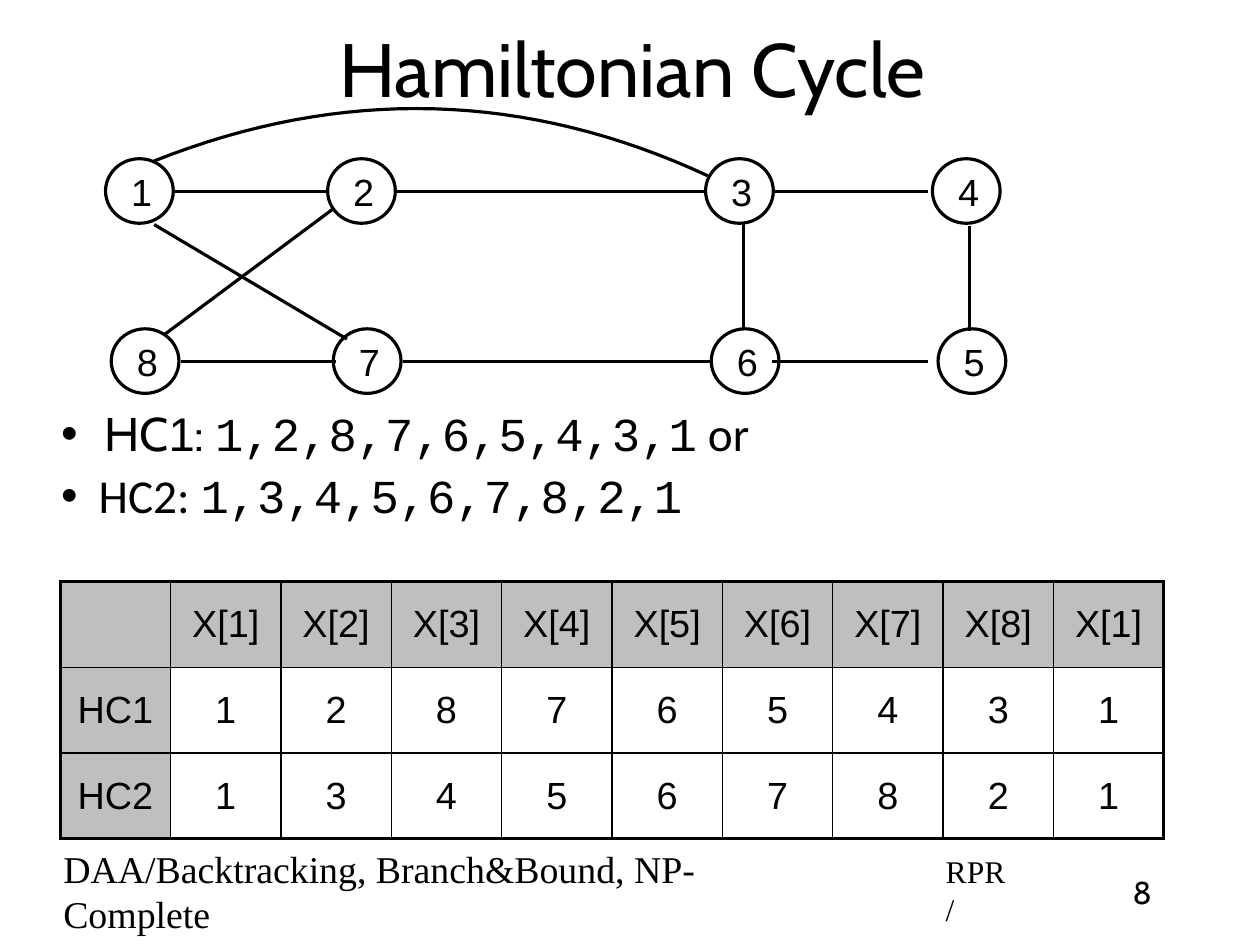
from dataclasses import dataclass

from lxml.etree import SubElement
from pptx import Presentation
from pptx.dml.color import RGBColor
from pptx.enum.shapes import MSO_CONNECTOR as Connector, MSO_SHAPE as Preset
from pptx.enum.text import MSO_ANCHOR as Anchor, MSO_AUTO_SIZE as AutoSize, PP_ALIGN as Align
from pptx.oxml.ns import qn
from pptx.util import Pt


@dataclass(frozen=True)
class Theme:
    """Holds the colours, fonts and sizes of the slide."""
    ink: RGBColor = RGBColor(0, 0, 0)
    shade_alpha: int = 25000
    heading: str = "Cabin"
    sans: str = "Arial"
    plain: str = "Calibri"
    mono: str = "Courier New"
    serif: str = "Times New Roman"
    title_size: int = 48
    list_size: int = 30
    label_size: int = 24
    small_size: int = 20
    inset: float = 4.3
    indent: float = 2.9
    edge: float = 2
    grid: float = 1
    frame: float = 2.25


THEME = Theme()

CYCLES = {"HC1": "1,2,8,7,6,5,4,3,1", "HC2": "1,3,4,5,6,7,8,2,1"}
NODE_COLUMNS = [0, 141, 381, 525]
NODE_ROWS = [("1234", 0, 31.8), ("8765", 3.6, 139.8)]
EDGES = [
    (43.2, 52.7, 141.1, 52.7), (184.3, 52.7, 380.1, 52.7), (423.3, 52.7, 522, 52.7),
    (48.2, 160.7, 146.1, 160.7), (188.6, 160.7, 385.2, 160.7), (423.3, 160.7, 522, 160.7),
    (30.9, 73.6, 153.3, 146.3), (37.4, 143.4, 144.7, 63.5),
    (405.3, 72.8, 405.3, 139.8), (548.6, 74.3, 548.6, 141.2),
]
ARC = [(30.9, 33.2), (150.4, -14.3), (267.8, -10.7), (382.3, 42.6)]
ARC_STEPS = 32


def apply(target, values):
    """Set every attribute named in values on the target."""
    for name, value in values.items():
        setattr(target, name, value)


def place(shape, box):
    """Move and size a shape to a box in points."""
    apply(shape, dict(zip(("left", "top", "width", "height"), map(Pt, box))))


def prepare(frame, anchor):
    """Give a text frame its wrapping, anchor and insets."""
    margins = ("margin_left", "margin_right", "margin_top", "margin_bottom")
    apply(frame, dict.fromkeys(margins, Pt(THEME.inset)))
    apply(frame, {"word_wrap": True, "auto_size": AutoSize.NONE, "vertical_anchor": anchor})


def write(paragraph, runs, size, align=Align.LEFT, indent=THEME.indent, hanging=0):
    """Fill a paragraph with pairs of text and font name."""
    paragraph.alignment = align
    properties = paragraph._p.get_or_add_pPr()
    properties.set("marL", str(Pt(indent)))
    properties.set("indent", str(-Pt(hanging)))
    for text, name in runs:
        run = paragraph.add_run()
        run.text = text
        apply(run.font, {"name": name, "size": Pt(size)})
        run.font.color.rgb = THEME.ink


def outline(shape):
    """Draw the black graph line around or along a shape."""
    shape.line.color.rgb = THEME.ink
    shape.line.width = Pt(THEME.edge)


def add_title(slide, box):
    """Place the heading in the title placeholder."""
    title = slide.shapes.title
    place(title, box)
    prepare(title.text_frame, Anchor.MIDDLE)
    write(title.text_frame.paragraphs[0], [("Hamiltonian Cycle", THEME.heading)],
          THEME.title_size, Align.CENTER)


def add_note(slide, box, text, font, size, align=Align.LEFT, anchor=Anchor.MIDDLE):
    """Add one small text of the footer."""
    note = slide.shapes.add_textbox(*map(Pt, box))
    prepare(note.text_frame, anchor)
    write(note.text_frame.paragraphs[0], [(text, font)], size, align)


def add_graph(slide, box):
    """Draw the eight numbered nodes and their edges."""
    left, top = box[:2]
    shapes = slide.shapes.add_group_shape().shapes
    for labels, shift, row in NODE_ROWS:
        for label, column in zip(labels, NODE_COLUMNS):
            node = shapes.add_shape(Preset.OVAL, Pt(left + column + shift), Pt(top + row),
                                    Pt(43), Pt(41))
            node.shadow.inherit = False
            node.fill.background()
            outline(node)
            prepare(node.text_frame, Anchor.MIDDLE)
            write(node.text_frame.paragraphs[0], [(label, THEME.sans)],
                  THEME.label_size, Align.CENTER)
    for x1, y1, x2, y2 in EDGES:
        edge = shapes.add_connector(Connector.STRAIGHT, Pt(left + x1), Pt(top + y1),
                                    Pt(left + x2), Pt(top + y2))
        outline(edge)
        SubElement(edge._element.spPr, qn("a:effectLst"))
    points = [(Pt(left + x), Pt(top + y)) for x, y in map(arc_point, range(ARC_STEPS + 1))]
    builder = shapes.build_freeform(*points[0])
    builder.add_line_segments(points[1:], close=False)
    arc = builder.convert_to_shape()
    arc.shadow.inherit = False
    arc.fill.background()
    outline(arc)


def arc_point(step):
    """Return the point of the cubic arc at a step."""
    t = step / ARC_STEPS
    weights = ((1 - t) ** 3, 3 * t * (1 - t) ** 2, 3 * t ** 2 * (1 - t), t ** 3)
    return tuple(sum(w * value for w, value in zip(weights, axis)) for axis in zip(*ARC))


def add_cycle_list(slide, box):
    """List both cycles in the body placeholder."""
    body = slide.placeholders[1]
    place(body, box)
    frame = body.text_frame
    prepare(frame, Anchor.TOP)
    first = [("HC", THEME.heading), ("1", THEME.sans), (": ", THEME.heading),
             (CYCLES["HC1"], THEME.mono), (" or", THEME.plain)]
    second = [("HC2: ", THEME.plain), (CYCLES["HC2"], THEME.mono)]
    items = [(frame.paragraphs[0], first, 30.2, 27.4),
             (frame.add_paragraph(), second, 26.6, 23.8)]
    for paragraph, runs, indent, hanging in items:
        write(paragraph, runs, THEME.list_size, indent=indent, hanging=hanging)
        apply(paragraph, {"line_spacing": 0.9, "space_before": Pt(7)})


def add_borders(cell, outer):
    """Draw the four borders of a cell, thick on the outer sides."""
    properties = cell._tc.get_or_add_tcPr()
    for side in "LRTB":
        width = THEME.frame if side in outer else THEME.grid
        line = SubElement(properties, qn(f"a:ln{side}"), w=str(Pt(width)))
        SubElement(SubElement(line, qn("a:solidFill")), qn("a:srgbClr"), val=str(THEME.ink))


def add_cycle_table(slide, box):
    """Tabulate the node at each position of both cycles."""
    positions = [f"X[{number}]" for number in (*range(1, 9), 1)]
    rows = [["", *positions], *([name, *cycle.split(",")] for name, cycle in CYCLES.items())]
    last_row, last_column = len(rows) - 1, len(positions)
    table = slide.shapes.add_table(len(rows), last_column + 1, *map(Pt, box)).table
    apply(table, {"first_row": False, "horz_banding": False})
    for row, values in enumerate(rows):
        for column, text in enumerate(values):
            cell = table.cell(row, column)
            sides = {"L": column == 0, "R": column == last_column,
                     "T": row == 0, "B": row == last_row}
            add_borders(cell, [side for side, is_outer in sides.items() if is_outer])
            if row == 0 or column == 0:
                cell.fill.solid()
                cell.fill.fore_color.rgb = THEME.ink
                colour = cell._tc.tcPr.find(f"{qn('a:solidFill')}/{qn('a:srgbClr')}")
                SubElement(colour, qn("a:alpha"), val=str(THEME.shade_alpha))
            else:
                cell.fill.background()
            margins = ("margin_left", "margin_right", "margin_top", "margin_bottom")
            apply(cell, dict.fromkeys(margins, Pt(THEME.inset)))
            cell.vertical_anchor = Anchor.MIDDLE
            if text:
                write(cell.text_frame.paragraphs[0], [(text, THEME.sans)],
                      THEME.label_size, Align.CENTER, indent=0)


def main():
    """Build the slide and save it."""
    presentation = Presentation()
    apply(presentation, {"slide_width": Pt(800), "slide_height": Pt(600)})
    slide = presentation.slides.add_slide(presentation.slide_layouts[1])
    add_title(slide, (60, 5, 680, 75))
    add_note(slide, (700, 550, 47.5, 30), "8", THEME.heading, THEME.small_size,
             Align.CENTER, Anchor.TOP)
    add_note(slide, (33, 548.6, 500, 34), "DAA/Backtracking, Branch&Bound, NP-Complete",
             THEME.serif, THEME.label_size)
    add_note(slide, (593.3, 550, 52, 30), "RPR/", THEME.serif, THEME.small_size)
    add_graph(slide, (67, 69, 572, 181))
    add_cycle_list(slide, (31.7, 256.3, 713, 96.5))
    add_cycle_table(slide, (38.2, 369.4, 701, 163.2))
    presentation.save("out.pptx")


if __name__ == "__main__":
    main()
